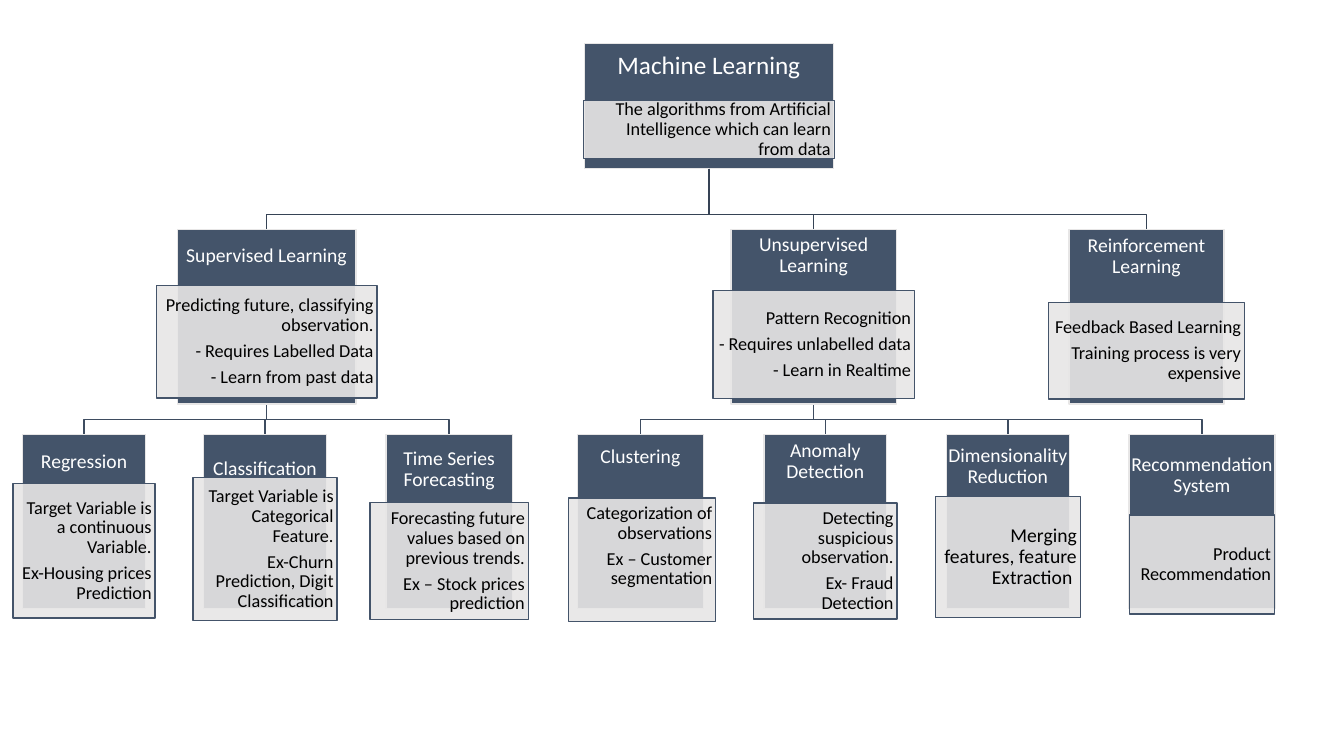
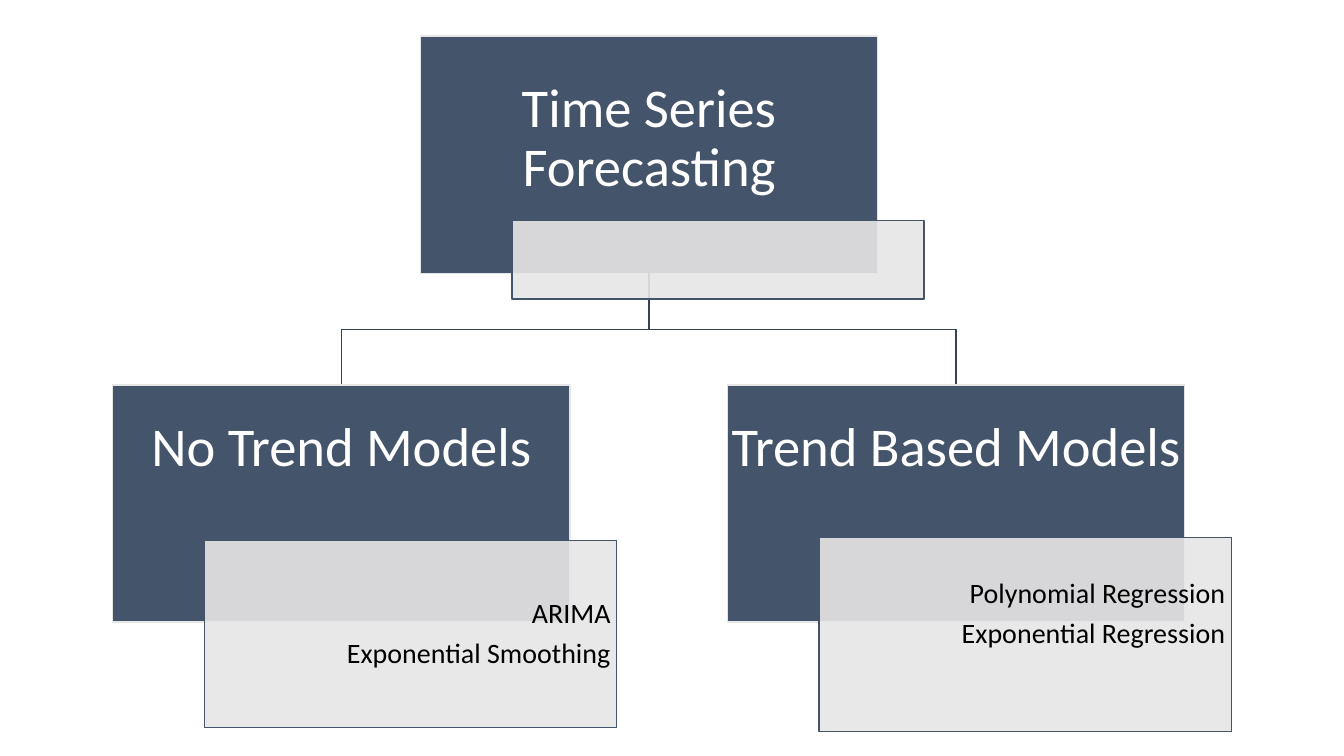
from dataclasses import dataclass

from lxml import etree
from pptx import Presentation
from pptx.dml.color import RGBColor
from pptx.enum.shapes import MSO_SHAPE as Preset
from pptx.enum.text import MSO_ANCHOR as Anchor, MSO_AUTO_SIZE as AutoSize, PP_ALIGN as Align
from pptx.oxml.ns import qn
from pptx.util import Cm, Pt


@dataclass(frozen=True)
class Theme:
    font: str = "Calibri"
    navy: str = "44546A"
    pale: str = "E7E6E6"
    white: str = "FFFFFF"
    black: str = "000000"
    root_line: str = "364355"
    branch_line: str = "3E4C60"
    line_width: float = 1
    panel_opacity: int = 90
    line_spacing: float = 0.9
    paragraph_gap: float = 0.35  # share of the type size


THEME = Theme()


@dataclass(frozen=True)
class Level:
    """What the cards of one row share; lengths in cm, type sizes in points."""
    top: float
    height: float
    heading_size: int
    body_size: int
    heading_inset: float = 0.03
    body_inset: float = 0.09
    panel_shift: float = 0  # panel centre, right of the card centre


@dataclass(frozen=True)
class Card:
    level: Level
    heading: str
    left: float
    width: float
    heading_drop: float  # card top to heading
    panel: tuple  # top, width, height
    body: tuple = ()
    body_size: int = 0  # replaces the size of the level
    body_lift: float = 0  # free space below the body
    panel_nudge: float = 0  # added to the shift of the level

    @property
    def centre(self):
        return self.left + self.width / 2

    @property
    def bottom(self):
        return self.level.top + self.level.height


# Rows of cards
ROOT = Level(1.09, 3.16, 18, 13)
KINDS = Level(5.79, 4.39, 14, 13)
TASKS = Level(10.95, 4.39, 14, 13)
SERIES = Level(0.91, 5.98, 39, 20, 0.08, 0.15, 1.74)
MODELS = Level(9.7, 5.98, 39, 20, 0.08, 0.15, 1.74)

# Machine learning tree
MACHINE_LEARNING = Card(
    ROOT, "Machine Learning", 14.73, 6.27, 0.24, (2.54, 6.32, 1.46),
    ("The algorithms from Artificial Intelligence which can learn from data",))
SUPERVISED = Card(
    KINDS, "Supervised Learning", 4.47, 4.5, 0.41, (7.19, 5.56, 2.84),
    ("Predicting future, classifying observation.",
     "- Requires Labelled Data", "- Learn from past data"))
UNSUPERVISED = Card(
    KINDS, "Unsupervised Learning", 18.42, 4.17, 0.12, (7.32, 5.08, 2.72),
    ("Pattern Recognition", "- Requires unlabelled data", "- Learn in Realtime"))
REINFORCEMENT = Card(
    KINDS, "Reinforcement Learning", 26.94, 3.91, 0.14, (7.62, 4.93, 2.44),
    ("Feedback Based Learning", "Training process is very expensive"))
SUPERVISED_TASKS = [
    Card(TASKS, "Regression", 0.57, 3.1, 0.42, (12.19, 3.58, 3.38),
         ("Target Variable is a continuous Variable.", "Ex-Housing prices Prediction")),
    Card(TASKS, "Classification", 5.13, 3.1, 0.6, (12.04, 3.63, 3.6),
         ("Target Variable is Categorical Feature.",
          "Ex-Churn Prediction, Digit Classification")),
    Card(TASKS, "Time Series Forecasting", 9.73, 3.18, 0.35, (12.67, 3.99, 2.95),
         ("Forecasting future values based on previous trends.",
          "Ex – Stock prices prediction")),
]
UNSUPERVISED_TASKS = [
    Card(TASKS, "Clustering", 14.55, 3.18, 0.31, (12.55, 3.71, 3.12),
         ("Categorization of observations", "Ex – Customer segmentation"),
         body_lift=0.69, panel_nudge=0.04),
    Card(TASKS, "Anomaly Detection", 19.25, 3.1, 0.15, (12.68, 3.61, 2.92),
         ("Detecting suspicious observation.", "Ex- Fraud Detection")),
    Card(TASKS, "Dimensionality Reduction", 23.85, 3.1, 0.28, (12.51, 3.66, 3.05),
         ("Merging features, feature Extraction ",), body_size=14),
    Card(TASKS, "Recommendation System", 28.45, 3.68, 0.51, (12.98, 3.66, 2.49),
         ("Product Recommendation",)),
]

# Forecasting tree
FORECASTING = Card(
    SERIES, "Time Series Forecasting", 10.59, 11.53, 1.12, (5.56, 10.39, 1.98))
FORECASTING_MODELS = [
    Card(MODELS, "No Trend Models", 2.84, 11.53, 0.87, (13.62, 10.39, 4.72),
         ("ARIMA", "Exponential Smoothing")),
    Card(MODELS, "Trend Based Models", 18.33, 11.53, 0.87, (13.54, 10.39, 4.9),
         ("Polynomial Regression", "Exponential Regression"), body_lift=1.02),
]


def write_text(shape, lines, *, size, color, align, anchor, side, top=0.03, bottom=0.03):
    """Fill a shape with paragraphs; insets in cm."""
    frame = shape.text_frame
    frame.auto_size = AutoSize.NONE
    frame.word_wrap = True
    frame.vertical_anchor = anchor
    frame.margin_left = frame.margin_right = Cm(side)
    frame.margin_top, frame.margin_bottom = Cm(top), Cm(bottom)
    for index, line in enumerate(lines):
        paragraph = frame.paragraphs[0] if index == 0 else frame.add_paragraph()
        paragraph.alignment = align
        paragraph.line_spacing = THEME.line_spacing
        paragraph.space_before = Pt(0)
        paragraph.space_after = Pt(size * THEME.paragraph_gap)
        run = paragraph.add_run()
        run.text = line
        run.font.name = THEME.font
        run.font.size = Pt(size)
        run.font.color.rgb = RGBColor.from_string(color)


def style_line(shape, color):
    shape.line.color.rgb = RGBColor.from_string(color)
    shape.line.width = Pt(THEME.line_width)


def style_box(shape, fill, line, opacity=100):
    shape.fill.solid()
    shape.fill.fore_color.rgb = RGBColor.from_string(fill)
    style_line(shape, line)
    if opacity < 100:
        color = shape.fill._xPr.find(qn("a:solidFill"))[0]
        etree.SubElement(color, qn("a:alpha"), val=str(opacity * 1000))


def add_box(slide, left, top, width, height):
    shape = slide.shapes.add_shape(
        Preset.RECTANGLE, Cm(left), Cm(top), Cm(width), Cm(height))
    shape.shadow.inherit = False
    return shape


def add_branch(slide, parent, child, rise, color):
    """Draw an open outline from card to card, bent `rise` cm above the child."""
    top = child.level.top
    bend = top - rise
    corners = [(parent.centre, bend), (child.centre, bend), (child.centre, top)]
    builder = slide.shapes.build_freeform(Cm(parent.centre), Cm(parent.bottom))
    builder.add_line_segments([(Cm(x), Cm(y)) for x, y in corners], close=False)
    branch = builder.convert_to_shape()
    branch.shadow.inherit = False
    branch.fill.background()
    style_line(branch, color)


def add_card(slide, card, is_title=False):
    level = card.level
    # Heading box; the top card is the slide title
    if is_title:
        box = slide.shapes.title
        box.left, box.top = Cm(card.left), Cm(level.top)
        box.width, box.height = Cm(card.width), Cm(level.height)
    else:
        box = add_box(slide, card.left, level.top, card.width, level.height)
    style_box(box, THEME.navy, THEME.pale)
    write_text(box, [card.heading], size=level.heading_size, color=THEME.white,
               align=Align.CENTER, anchor=Anchor.TOP, side=level.heading_inset,
               top=card.heading_drop)
    # Overlapping panel
    top, width, height = card.panel
    left = card.centre + level.panel_shift + card.panel_nudge - width / 2
    panel = add_box(slide, left, top, width, height)
    style_box(panel, THEME.pale, THEME.navy, THEME.panel_opacity)
    write_text(panel, card.body, size=card.body_size or level.body_size,
               color=THEME.black, align=Align.RIGHT, anchor=Anchor.MIDDLE,
               side=level.body_inset, bottom=0.03 + card.body_lift)


def add_tree_slide(presentation, root, cards, families):
    """Families are (parent, children, rise, color); branches lie behind the cards."""
    slide = presentation.slides.add_slide(presentation.slide_layouts[5])
    for parent, children, rise, color in families:
        for child in children:
            add_branch(slide, parent, child, rise, color)
    add_card(slide, root, is_title=True)
    for card in cards:
        add_card(slide, card)


def main():
    presentation = Presentation()
    presentation.slide_width, presentation.slide_height = Cm(33.87), Cm(19.05)
    kinds = [SUPERVISED, UNSUPERVISED, REINFORCEMENT]
    add_tree_slide(
        presentation, MACHINE_LEARNING, kinds + SUPERVISED_TASKS + UNSUPERVISED_TASKS,
        [(MACHINE_LEARNING, kinds, 0.38, THEME.root_line),
         (SUPERVISED, SUPERVISED_TASKS, 0.38, THEME.branch_line),
         (UNSUPERVISED, UNSUPERVISED_TASKS, 0.38, THEME.branch_line)])
    add_tree_slide(
        presentation, FORECASTING, FORECASTING_MODELS,
        [(FORECASTING, FORECASTING_MODELS, 1.4, THEME.root_line)])
    presentation.save("out.pptx")


if __name__ == "__main__":
    main()
